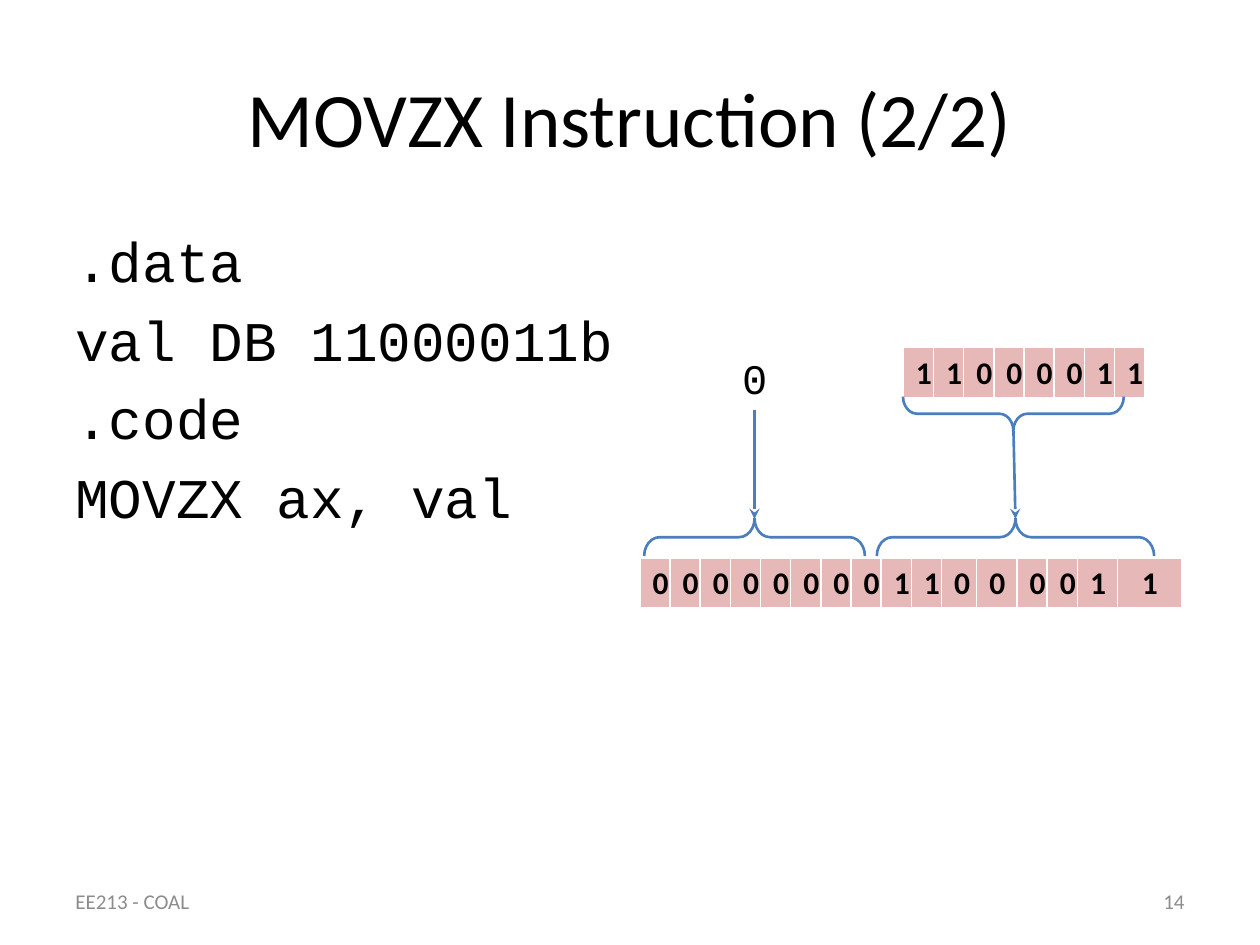
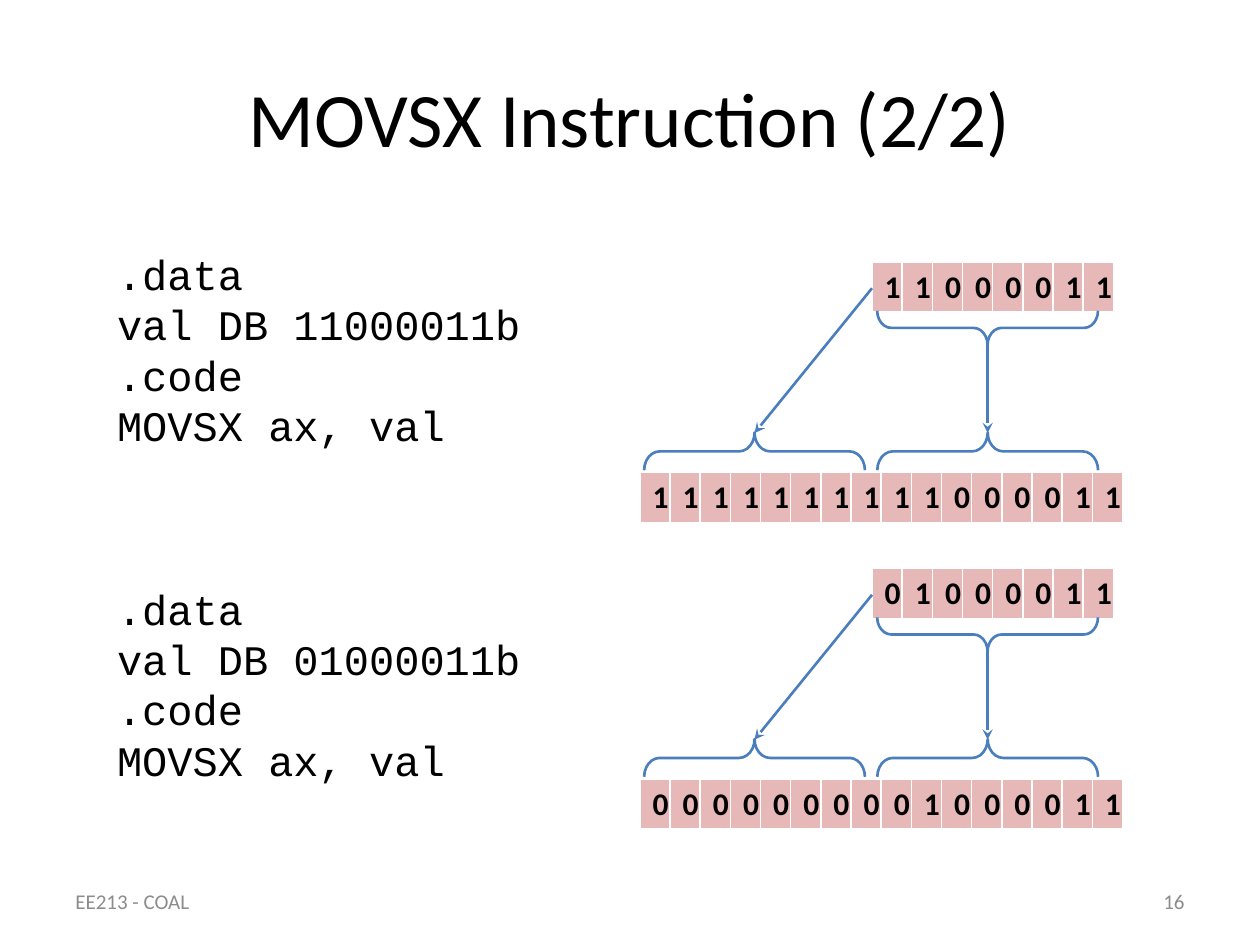
"""Build two slides that show how MOVZX and MOVSX widen a byte to a word."""
from dataclasses import dataclass

from lxml import etree
from pptx import Presentation
from pptx.dml.color import RGBColor
from pptx.enum.shapes import MSO_CONNECTOR, MSO_SHAPE
from pptx.enum.text import MSO_ANCHOR, MSO_AUTO_SIZE, PP_ALIGN
from pptx.oxml.ns import qn
from pptx.util import Cm, Pt

LEFT, CENTER, RIGHT = PP_ALIGN.LEFT, PP_ALIGN.CENTER, PP_ALIGN.RIGHT
TOP, MIDDLE = MSO_ANCHOR.TOP, MSO_ANCHOR.MIDDLE
GROW, FIXED = MSO_AUTO_SIZE.SHAPE_TO_FIT_TEXT, MSO_AUTO_SIZE.NONE
BRACE, STRAIGHT = MSO_SHAPE.LEFT_BRACE, MSO_CONNECTOR.STRAIGHT

BLACK, GREY, WHITE, BLUE, PINK = "000000", "8C8C8C", "FFFFFF", "4B7EBC", "E6B9B8"
TITLE_FONT = {"name": "Calibri", "size": Pt(44)}
FOOTER_FONT = {"name": "Calibri", "size": Pt(12)}
BIT_FONT = {"name": "Calibri", "size": Pt(18), "bold": True}
CODE_FONT = {"name": "Courier New", "size": Pt(24)}
BODY_FONT = CODE_FONT | {"size": Pt(32)}

MARGIN, CONTENT_W = 1.27, 22.86
FOOTER_Y, FOOTER_W, FOOTER_H = 17.65, 5.92, 1.02
BIT_W, BIT_H = 9.32 / 16, 1.04
TARGET_X, TARGET_DY = 12.9, 4.24
FILL_CX, SPAN = 15.21, 4.45
DOWN_DY, UP_DY = 1.33, 3.82
ARROW_FROM_DY, ARROW_TO_DY = 1.68, 3.45
EVEN_BITS = (BIT_W,) * 16
UNEVEN_BITS = (BIT_W,) * 10 + (0.71, 0.81, 0.61, 0.61, 0.81, 1.3)


@dataclass(frozen=True)
class Extension:
    """A byte copied into the low half of a word, with the high half filled."""

    top: float
    byte: str
    fill: str
    byte_x: float = 17.58
    down_cx: float = 19.91
    up_cx: float = 19.91
    up_span: float = SPAN
    fill_from: tuple[float, float] = (17.58, 0.53)
    widths: tuple[float, ...] = EVEN_BITS


def rgb(color: str) -> RGBColor:
    """Turn a hex string into a colour."""
    return RGBColor.from_string(color)


def set_font(r, font: dict, color: str = BLACK) -> None:
    """Apply font values and a colour to a run."""
    for key, value in font.items():
        setattr(r.font, key, value)
    r.font.color.rgb = rgb(color)


def add_text(s, box: tuple, lines: list[str], font: dict, color: str = BLACK, align=LEFT,
             anchor=TOP, wrap: bool = True, space: float = 0) -> None:
    """Add a text box with one paragraph for each line."""
    tf = s.shapes.add_textbox(*map(Cm, box)).text_frame
    frame = {"word_wrap": wrap, "auto_size": FIXED if wrap else GROW, "vertical_anchor": anchor}
    for key, value in frame.items():
        setattr(tf, key, value)
    for i, line in enumerate(lines):
        p = tf.add_paragraph() if i else tf.paragraphs[0]
        p.alignment, p.space_before = align, Pt(space)
        r = p.add_run()
        r.text = line
        set_font(r, font, color)


def add_border(cell, side: str, width: float) -> None:
    """Give one side of a cell a white border."""
    ln = etree.SubElement(cell._tc.get_or_add_tcPr(), qn(f"a:ln{side}"), w=str(Pt(width)))
    fill = etree.SubElement(ln, qn("a:solidFill"))
    etree.SubElement(fill, qn("a:srgbClr"), val=WHITE)


def add_bits(s, x: float, y: float, bits: str, widths: tuple[float, ...]) -> None:
    """Draw a row of bits as a one-row table."""
    frame = s.shapes.add_table(1, len(bits), Cm(x), Cm(y), Cm(sum(widths)), Cm(BIT_H))
    table = frame.table
    table.first_row = table.horz_banding = False
    for i, (bit, width) in enumerate(zip(bits, widths)):
        table.columns[i].width = Cm(width)
        cell = table.cell(0, i)
        for side, weight in {"L": 1, "R": 1, "T": 1, "B": 3}.items():
            add_border(cell, side, weight)
        cell.fill.solid()
        cell.fill.fore_color.rgb = rgb(PINK)
        p = cell.text_frame.paragraphs[0]
        p.alignment = CENTER
        r = p.add_run()
        r.text = bit
        set_font(r, BIT_FONT)


def set_line(shape) -> None:
    """Give a shape or connector the diagram line."""
    shape.line.color.rgb = rgb(BLUE)
    shape.line.width = Pt(1.5)


def add_brace(s, cx: float, cy: float, depth: float, span: float, rotation: int) -> None:
    """Draw a brace turned about its centre."""
    sp = s.shapes.add_shape(BRACE, Cm(cx - depth / 2), Cm(cy - span / 2), Cm(depth), Cm(span))
    sp.adjustments[0], sp.adjustments[1] = 0.41, 0.5
    sp.rotation = rotation
    sp.shadow.inherit = False
    sp.fill.background()
    set_line(sp)


def add_arrow(s, x1: float, y1: float, x2: float, y2: float) -> None:
    """Draw a straight arrow to the second point."""
    cxn = s.shapes.add_connector(STRAIGHT, *map(Cm, (x1, y1, x2, y2)))
    set_line(cxn)
    etree.SubElement(cxn.line._get_or_add_ln(), qn("a:tailEnd"), type="stealth")
    etree.SubElement(cxn._element.spPr, qn("a:effectLst"))


def add_extension(s, e: Extension) -> None:
    """Draw the byte, the word and the arrows between them."""
    add_bits(s, e.byte_x, e.top, e.byte, EVEN_BITS[:8])
    add_bits(s, TARGET_X, e.top + TARGET_DY, e.fill * 8 + e.byte, e.widths)
    add_brace(s, e.down_cx, e.top + DOWN_DY, 0.69, SPAN, 270)
    add_brace(s, e.up_cx, e.top + UP_DY, 0.76, e.up_span, 90)
    add_brace(s, FILL_CX, e.top + UP_DY, 0.76, SPAN, 90)
    end_y = e.top + ARROW_TO_DY
    add_arrow(s, e.down_cx, e.top + ARROW_FROM_DY, e.up_cx, end_y)
    fill_x, fill_dy = e.fill_from
    add_arrow(s, fill_x, e.top + fill_dy, FILL_CX, end_y)


def code(mnemonic: str, byte: str) -> list[str]:
    """List the program that loads a byte into ax."""
    return [".data", f"val DB {byte}b", ".code", f"{mnemonic} ax, val"]


def add_slide(prs, mnemonic: str, number: int):
    """Add a blank slide with its title and footers."""
    s = prs.slides.add_slide(prs.slide_layouts[6])
    add_text(s, (MARGIN, 0.76, CONTENT_W, 3.18), [f"{mnemonic} Instruction (2/2)"],
             TITLE_FONT, align=CENTER, anchor=MIDDLE)
    number_x = MARGIN + CONTENT_W - FOOTER_W
    for x, text, align in ((MARGIN, "EE213 - COAL", LEFT), (number_x, str(number), RIGHT)):
        add_text(s, (x, FOOTER_Y, FOOTER_W, FOOTER_H), [text], FOOTER_FONT, GREY, align, MIDDLE)
    return s


def build_movzx(prs) -> None:
    """Build the zero-extension slide."""
    s = add_slide(prs, "MOVZX", 14)
    e = Extension(7.01, "11000011", "0", byte_x=18.21, down_cx=20.43, up_cx=20.47,
                  up_span=5.59, fill_from=(FILL_CX, 1.25), widths=UNEVEN_BITS)
    add_text(s, (MARGIN, 4.45, CONTENT_W, 12.57), code("MOVZX", e.byte), BODY_FONT, space=6.4)
    add_text(s, (14.71, 6.99, 1.02, 1.27), [e.fill], CODE_FONT, wrap=False)
    add_extension(s, e)


def build_movsx(prs) -> None:
    """Build the sign-extension slide."""
    s = add_slide(prs, "MOVSX", 16)
    for top, code_y, byte in ((5.28, 4.88, "11000011"), (11.46, 11.63, "01000011")):
        add_text(s, (2.11, code_y, 8.71, 4.37), code("MOVSX", byte), CODE_FONT, wrap=False)
        add_extension(s, Extension(top, byte, byte[0]))


def main() -> None:
    """Build and save the presentation."""
    prs = Presentation()
    prs.slide_width, prs.slide_height = Cm(25.4), Cm(19.05)
    build_movzx(prs)
    build_movsx(prs)
    prs.save("out.pptx")


main()
